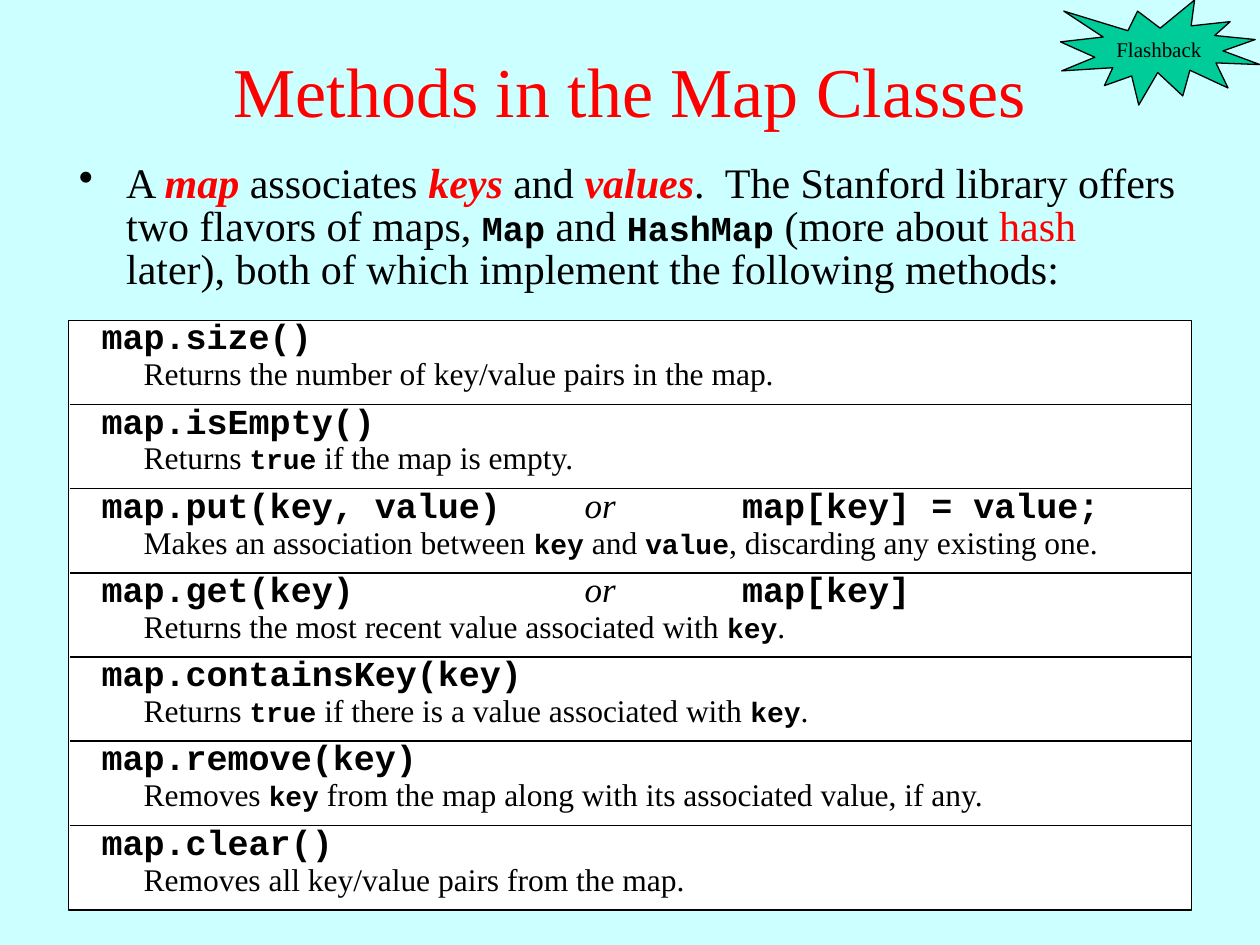
from lxml.etree import SubElement
from pptx import Presentation
from pptx.dml.color import RGBColor
from pptx.enum.shapes import MSO_CONNECTOR, MSO_SHAPE
from pptx.enum.text import MSO_ANCHOR, PP_ALIGN
from pptx.oxml.ns import qn
from pptx.util import Pt

COLORS = {
    "background": "CCFFFF",
    "panel": "FFFFFF",
    "ink": "000000",
    "accent": "FF0000",
    "burst": "00CC99",
}
SERIF = "Times New Roman"
MONO = "Courier New"

# Run styles: overrides of the paragraph font
PLAIN = {}
TERM = {"bold": True, "italic": True, "color": "accent"}
RED = {"color": "accent"}
BODY_CODE = {"name": MONO, "size": 20, "bold": True}
SMALL_CODE = {"name": MONO, "size": 16, "bold": True}
OR_WORD = {"name": SERIF, "bold": False, "italic": True}

INTRODUCTION = [
    ("A ", PLAIN), ("map", TERM), (" associates ", PLAIN), ("keys", TERM),
    (" and ", PLAIN), ("values", TERM),
    (".  The Stanford library offers two flavors of maps, ", PLAIN),
    ("Map", BODY_CODE), (" and ", PLAIN), ("HashMap", BODY_CODE),
    (" (more about ", PLAIN), ("hash", RED),
    (" later), both of which implement the following methods:", PLAIN),
]

# Call, alternative form, description (code between backticks)
METHODS = [
    ("map.size()", None, "Returns the number of key/value pairs in the map."),
    ("map.isEmpty()", None, "Returns `true` if the map is empty."),
    ("map.put(key, value)", "map[key] = value;",
     "Makes an association between `key` and `value`, discarding any existing one."),
    ("map.get(key)", "map[key]",
     "Returns the most recent value associated with `key`."),
    ("map.containsKey(key)", None,
     "Returns `true` if there is a value associated with `key`."),
    ("map.remove(key)", None,
     "Removes `key` from the map along with its associated value, if any."),
    ("map.clear()", None, "Removes all key/value pairs from the map."),
]
ROW_HEIGHT = 48.12
TAB_STOPS = (276, 366)


def rgb(name):
    return RGBColor.from_string(COLORS[name])


def set_font(font, name=None, size=None, bold=None, italic=None, color=None):
    if name:
        font.name = name
    if size:
        font.size = Pt(size)
    if bold is not None:
        font.bold = bold
    if italic is not None:
        font.italic = italic
    if color:
        font.color.rgb = rgb(color)


def add_runs(paragraph, runs):
    for text, style in runs:
        run = paragraph.add_run()
        run.text = text
        set_font(run.font, **style)


def add_text_box(slide, left, top, width, height):
    frame = slide.shapes.add_textbox(Pt(left), Pt(top), Pt(width), Pt(height)).text_frame
    frame.word_wrap = True
    return frame


def add_filled_shape(slide, preset, left, top, width, height, fill):
    shape = slide.shapes.add_shape(preset, Pt(left), Pt(top), Pt(width), Pt(height))
    shape.shadow.inherit = False
    shape.fill.solid()
    shape.fill.fore_color.rgb = rgb(fill)
    shape.line.color.rgb = rgb("ink")
    shape.line.width = Pt(0.75)
    return shape


def add_rule(slide, left, right, y):
    rule = slide.shapes.add_connector(
        MSO_CONNECTOR.STRAIGHT, Pt(left), Pt(y), Pt(right), Pt(y))
    rule.line.color.rgb = rgb("ink")
    rule.line.width = Pt(1)
    SubElement(rule._element.spPr, qn("a:effectLst"))


def add_bullet(paragraph, indent):
    properties = paragraph._p.get_or_add_pPr()
    properties.set("marL", str(Pt(indent)))
    properties.set("indent", str(-Pt(indent)))
    SubElement(properties, qn("a:buChar"), char="•")


def add_tab_stops(paragraph, positions):
    tab_list = SubElement(paragraph._p.get_or_add_pPr(), qn("a:tabLst"))
    for position in positions:
        SubElement(tab_list, qn("a:tab"), pos=str(Pt(position)), algn="l")


def add_title(slide, text):
    frame = add_text_box(slide, 0, 6, 720, 90)
    frame.vertical_anchor = MSO_ANCHOR.MIDDLE
    paragraph = frame.paragraphs[0]
    paragraph.alignment = PP_ALIGN.CENTER
    set_font(paragraph.font, SERIF, 40, color="accent")
    add_runs(paragraph, [(text, PLAIN)])


def add_introduction(slide):
    paragraph = add_text_box(slide, 38, 90.5, 646, 89).paragraphs[0]
    paragraph.line_spacing = 0.85
    add_bullet(paragraph, 27)
    set_font(paragraph.font, SERIF, 24, color="ink")
    add_runs(paragraph, INTRODUCTION)


def add_method(slide, row, call, alternative, description):
    offset = row * ROW_HEIGHT
    heading = add_text_box(slide, 51, 176.4 + offset, 618, 31).paragraphs[0]
    runs = [(call, PLAIN)]
    if alternative:
        add_tab_stops(heading, TAB_STOPS)
        runs += [("\t", PLAIN), ("or", OR_WORD), ("\t" + alternative, PLAIN)]
    set_font(heading.font, MONO, 20, bold=True, color="ink")
    add_runs(heading, runs)

    detail = add_text_box(slide, 75, 198.9 + offset, 605, 29).paragraphs[0]
    set_font(detail.font, SERIF, 18, color="ink")
    add_runs(detail, [(part, SMALL_CODE if index % 2 else PLAIN)
                      for index, part in enumerate(description.split("`"))])


def add_burst(slide, text):
    burst = add_filled_shape(slide, MSO_SHAPE.EXPLOSION1, 606, 0, 114, 60, "burst")
    frame = burst.text_frame
    frame.word_wrap = False
    frame.vertical_anchor = MSO_ANCHOR.MIDDLE
    paragraph = frame.paragraphs[0]
    paragraph.alignment = PP_ALIGN.CENTER
    set_font(paragraph.font, SERIF, 12, color="ink")
    add_runs(paragraph, [(text, {"color": "ink"})])


def main():
    presentation = Presentation()
    presentation.slide_width = Pt(720)
    presentation.slide_height = Pt(540)
    slide = presentation.slides.add_slide(presentation.slide_layouts[6])
    slide.background.fill.solid()
    slide.background.fill.fore_color.rgb = rgb("background")

    # Title and introduction
    add_title(slide, "Methods in the Map Classes")
    add_introduction(slide)

    # Method list with rules between the rows
    add_filled_shape(slide, MSO_SHAPE.RECTANGLE, 39, 183, 642, 337, "panel")
    for row, method in enumerate(METHODS):
        add_method(slide, row, *method)
        if row:
            add_rule(slide, 40, 681, 183 + row * ROW_HEIGHT)

    # Corner burst
    add_burst(slide, "Flashback")

    presentation.save("out.pptx")


if __name__ == "__main__":
    main()
